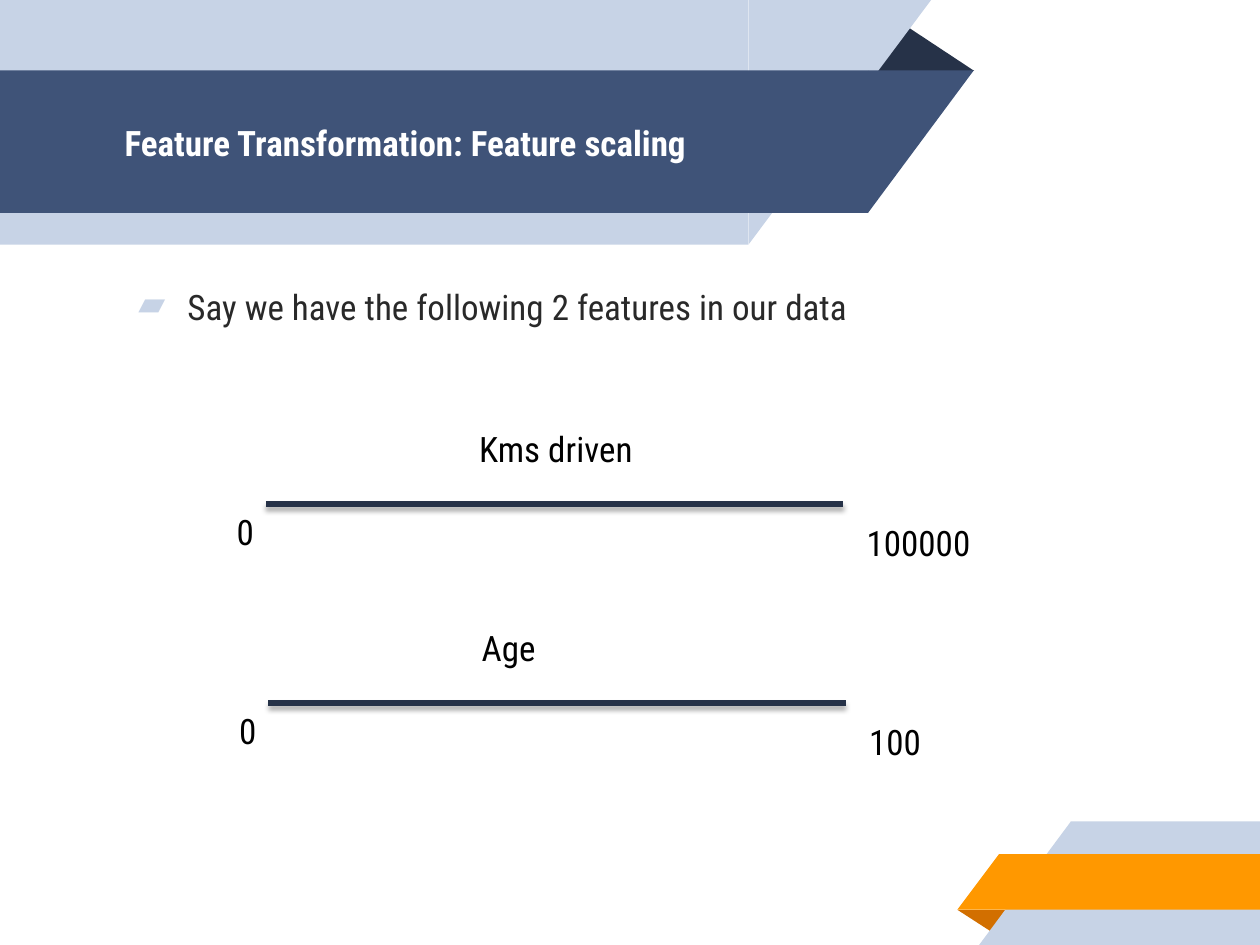
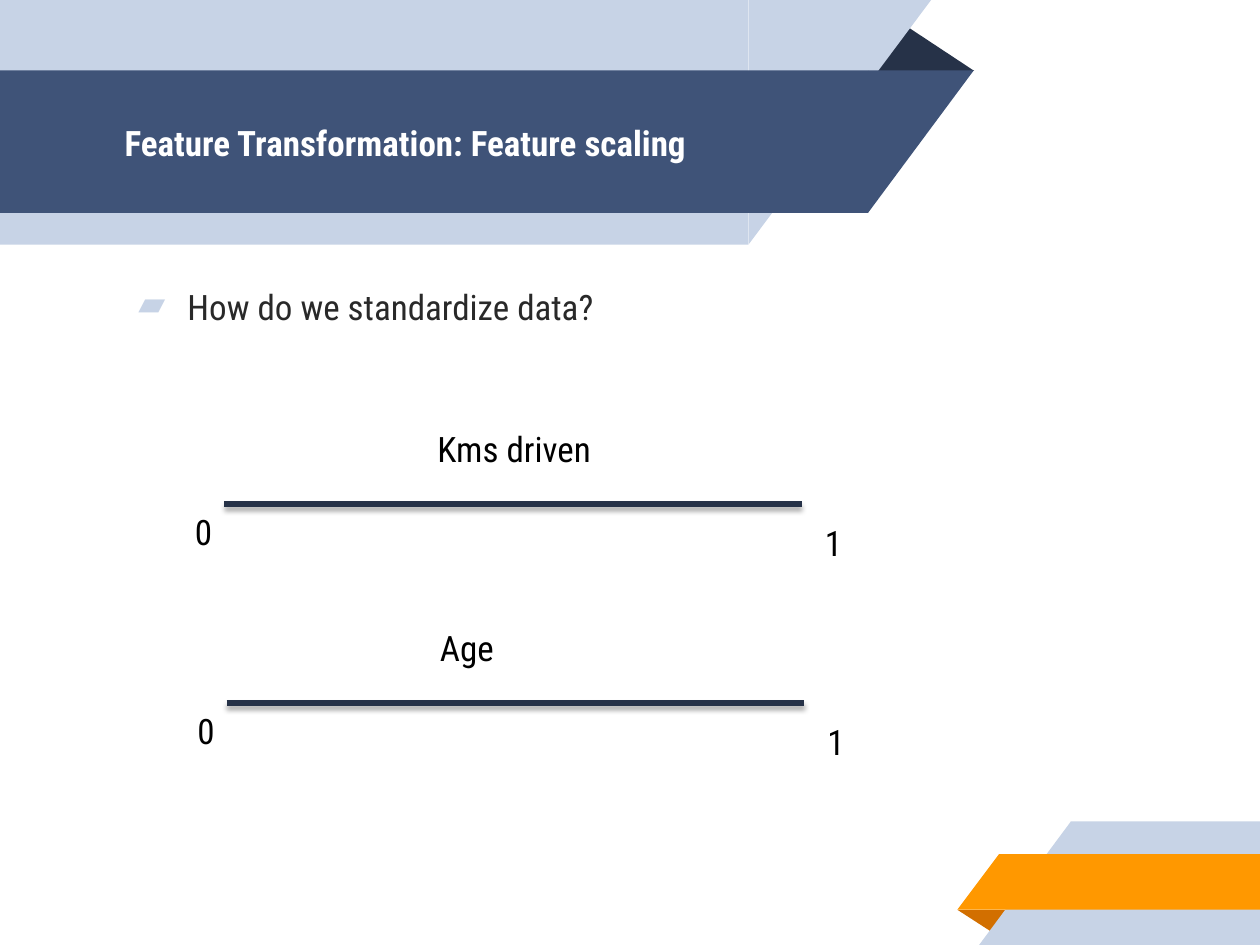
from dataclasses import dataclass

from pptx import Presentation
from pptx import slide as sl
from pptx import util as u
from pptx.dml.color import RGBColor
from pptx.enum import shapes as es, text as et
from pptx.oxml import parse_xml
from pptx.oxml.ns import nsdecls
from pptx.shapes import base, shapetree as tree
from pptx.text import text as tx


@dataclass(frozen=True)
class Theme:
    font: str = "Roboto Condensed"
    size: float = 20
    pale: str = "C7D3E6"
    blue: str = "3F5378"
    navy: str = "263248"
    amber: str = "FF9800"
    rust: str = "D26F00"
    white: str = "FFFFFF"
    ink: str = "292929"
    black: str = "000000"
    rule: float = 3


@dataclass(frozen=True)
class Band:
    """A bar with one slanted end; lengths in cm."""
    left: float
    top: float
    bar: float
    slant: float
    high: float
    fill: str


@dataclass(frozen=True)
class Scale:
    """A range line with its name and its upper limit."""
    name: str
    top: str


@dataclass(frozen=True)
class Page:
    point: str
    wide: float
    high: float
    left: float
    scales: tuple[Scale, ...]


THEME = Theme()
HEAD = "Feature Transformation: Feature scaling"
WIDE, HIGH = 25.4, 19.05
LINE, FIRST, PITCH, SHIFT = 11.64, 10.16, 4.01, 0.05

TOP = (Band(0, 0, 15.09, 3.68, 4.93, THEME.pale),
       Band(0, 1.42, 17.5, 2.13, 2.87, THEME.blue))
FOOT = (Band(19.74, 16.56, 3.81, 1.85, 2.49, THEME.pale),
        Band(19.3, 17.22, 5.26, 0.84, 1.12, THEME.amber))
PAGES = (
    Page("Say we have the following 2 features in our data", 15.52, 4.01, 5.36,
         (Scale("Kms driven", "100000"), Scale("Age", "100"))),
    Page("How do we standardize data?", 16.15, 11.23, 4.52,
         (Scale("Kms driven", "1"), Scale("Age", "1"))),
)


def box(x: float, y: float, w: float, h: float) -> tuple[u.Cm, ...]:
    return u.Cm(x), u.Cm(y), u.Cm(w), u.Cm(h)


def write(par: tx._Paragraph, words: str, color: str, bold: bool = False) -> None:
    run = par.add_run()
    run.text = words
    run.font.name = THEME.font
    run.font.size = u.Pt(THEME.size)
    run.font.bold = bold
    run.font.color.rgb = RGBColor.from_string(color)


def inset(frame: tx.TextFrame) -> None:
    frame.word_wrap = True
    frame.auto_size = et.MSO_AUTO_SIZE.NONE
    frame.margin_left = frame.margin_right = u.Cm(0.25)
    frame.margin_top = frame.margin_bottom = u.Cm(0.25)


# Bands: drawn once, then kept on the layout
def part(group: tree.GroupShapes, kind: es.MSO_SHAPE, at: tuple[u.Cm, ...],
         fill: str, turn: int = 0, flip: bool = False) -> base.BaseShape:
    shape = group.add_shape(kind, *at)
    shape.shadow.inherit = False
    shape.fill.solid()
    shape.fill.fore_color.rgb = RGBColor.from_string(fill)
    shape.line.fill.background()
    shape.rotation = turn
    if flip:
        shape._element.spPr.find("{*}xfrm").set("flipH", "1")
    return shape


def fold(group: tree.GroupShapes, at: tuple[u.Cm, ...], fill: str, turn: int) -> None:
    shape = part(group, es.MSO_SHAPE.ISOSCELES_TRIANGLE, at, fill, turn)
    shape.adjustments[0] = 0.32


def draw(group: tree.GroupShapes, band: Band, head: bool) -> None:
    bar = band.left if head else band.left + band.slant
    tip = band.left + band.bar if head else band.left
    turn = 180 if head else 0
    part(group, es.MSO_SHAPE.RECTANGLE,
         box(bar, band.top, band.bar, band.high), band.fill, turn, True)
    part(group, es.MSO_SHAPE.RIGHT_TRIANGLE,
         box(tip, band.top, band.slant, band.high), band.fill, turn, True)


def dress(page: sl.Slide, layout: sl.SlideLayout) -> None:
    top = page.shapes.add_group_shape()
    fold(top.shapes, box(17.48, 0.46, 2.16, 0.97), THEME.navy, 0)
    for band in TOP:
        draw(top.shapes, band, True)
    foot = page.shapes.add_group_shape()
    fold(foot.shapes, box(19.3, 18.34, 1.09, 0.48), THEME.rust, 180)
    for band in FOOT:
        draw(foot.shapes, band, False)
    root = layout.shapes._spTree
    for spot, group in enumerate((top, foot), 2):
        root.insert(spot, group._element)
    for num, item in enumerate(root.iter("{*}cNvPr"), 1):
        item.set("id", str(num))


# Title and bullet
def title(page: sl.Slide) -> None:
    shape = page.shapes.title
    shape.left, shape.top, shape.width, shape.height = box(2.26, 1.45, 18.19, 2.84)
    frame = shape.text_frame
    inset(frame)
    frame.vertical_anchor = et.MSO_ANCHOR.MIDDLE
    par = frame.paragraphs[0]
    par.alignment = et.PP_ALIGN.LEFT
    write(par, HEAD, THEME.white, True)


def point(page: sl.Slide, data: Page) -> None:
    frame = page.shapes.add_textbox(*box(2.26, 5.51, data.wide, data.high)).text_frame
    inset(frame)
    par = frame.paragraphs[0]
    par.space_before = u.Pt(6)
    prop = par._p.get_or_add_pPr()
    prop.set("marL", str(u.Cm(1.27)))
    prop.set("indent", str(u.Cm(-0.99)))
    for xml in (f'<a:buClr {nsdecls("a")}><a:srgbClr val="{THEME.pale}"/></a:buClr>',
                f'<a:buChar {nsdecls("a")} char="▰"/>'):
        prop.append(parse_xml(xml))
    write(par, data.point, THEME.ink)


# Range lines
def label(page: sl.Slide, words: str, x: float, y: float, wide: float) -> None:
    frame = page.shapes.add_textbox(*box(x, y, wide, 1.11)).text_frame
    frame.word_wrap = True
    frame.auto_size = et.MSO_AUTO_SIZE.SHAPE_TO_FIT_TEXT
    write(frame.paragraphs[0], words, THEME.black)


def scale(page: sl.Slide, data: Scale, x: float, y: float) -> None:
    line = page.shapes.add_connector(es.MSO_CONNECTOR.STRAIGHT,
                                     *box(x, y, x + LINE, y))
    line.line.color.rgb = RGBColor.from_string(THEME.navy)
    line.line.width = u.Pt(THEME.rule)
    line._element.spPr.append(parse_xml(
        f'<a:effectLst {nsdecls("a")}>'
        f'<a:outerShdw blurRad="{u.Pt(3.1)}" dist="{u.Pt(1.8)}" dir="5400000"'
        f' rotWithShape="0"><a:srgbClr val="{THEME.black}">'
        '<a:alpha val="35000"/></a:srgbClr></a:outerShdw></a:effectLst>'))
    label(page, "0", x - 0.84, y, 1.7)
    label(page, data.top, x + 11.86, y + 0.23, 3.61)
    label(page, data.name, x + 4.05, y - 1.66, 5.16)


def main() -> None:
    deck = Presentation()
    deck.slide_width, deck.slide_height = u.Cm(WIDE), u.Cm(HIGH)
    layout = deck.slide_layouts.get_by_name("Title Only")
    for num, data in enumerate(PAGES):
        page = deck.slides.add_slide(layout)
        if num == 0:
            dress(page, layout)
        title(page)
        point(page, data)
        for row, item in enumerate(data.scales):
            scale(page, item, data.left + row * SHIFT, FIRST + row * PITCH)
    deck.save("out.pptx")


main()
